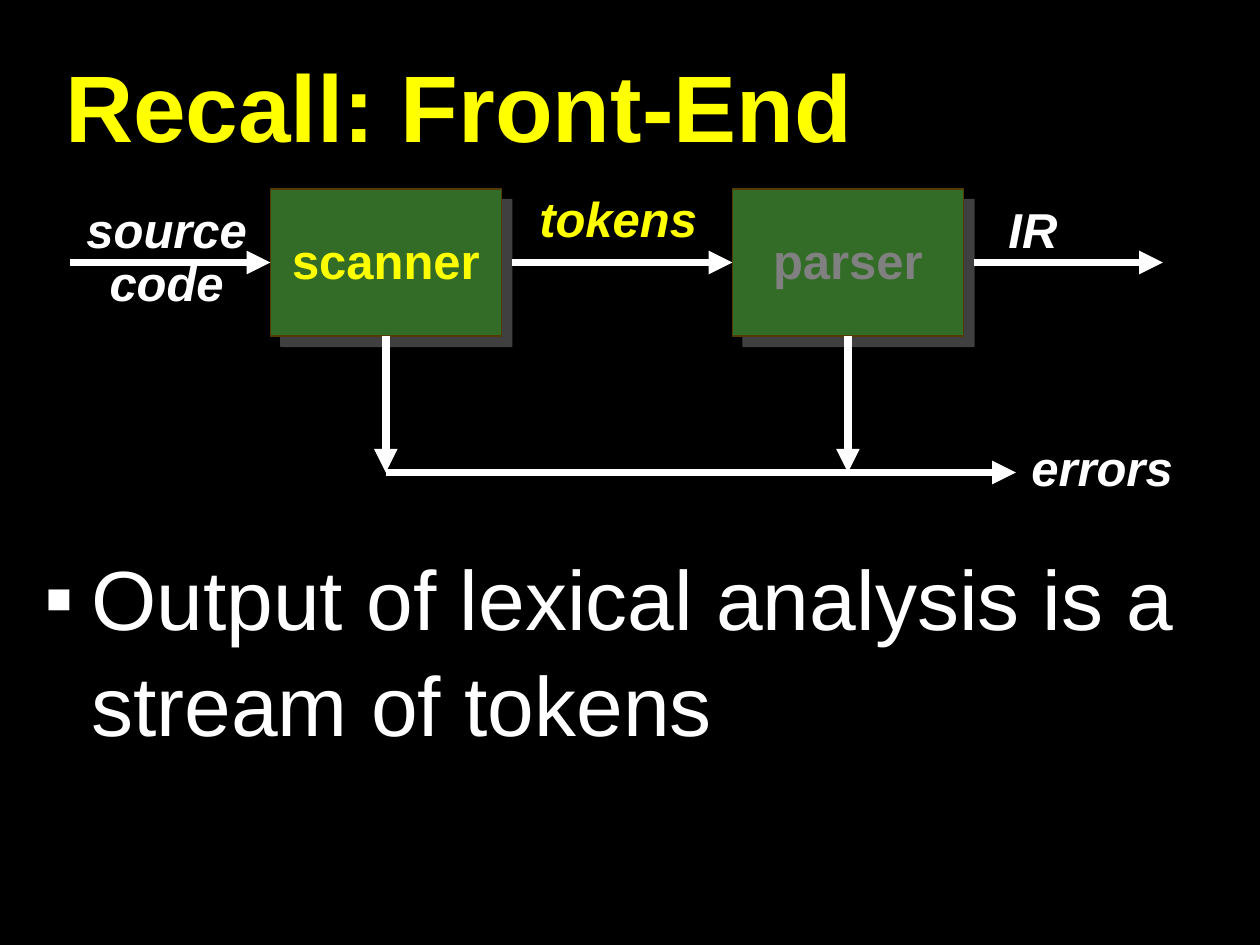
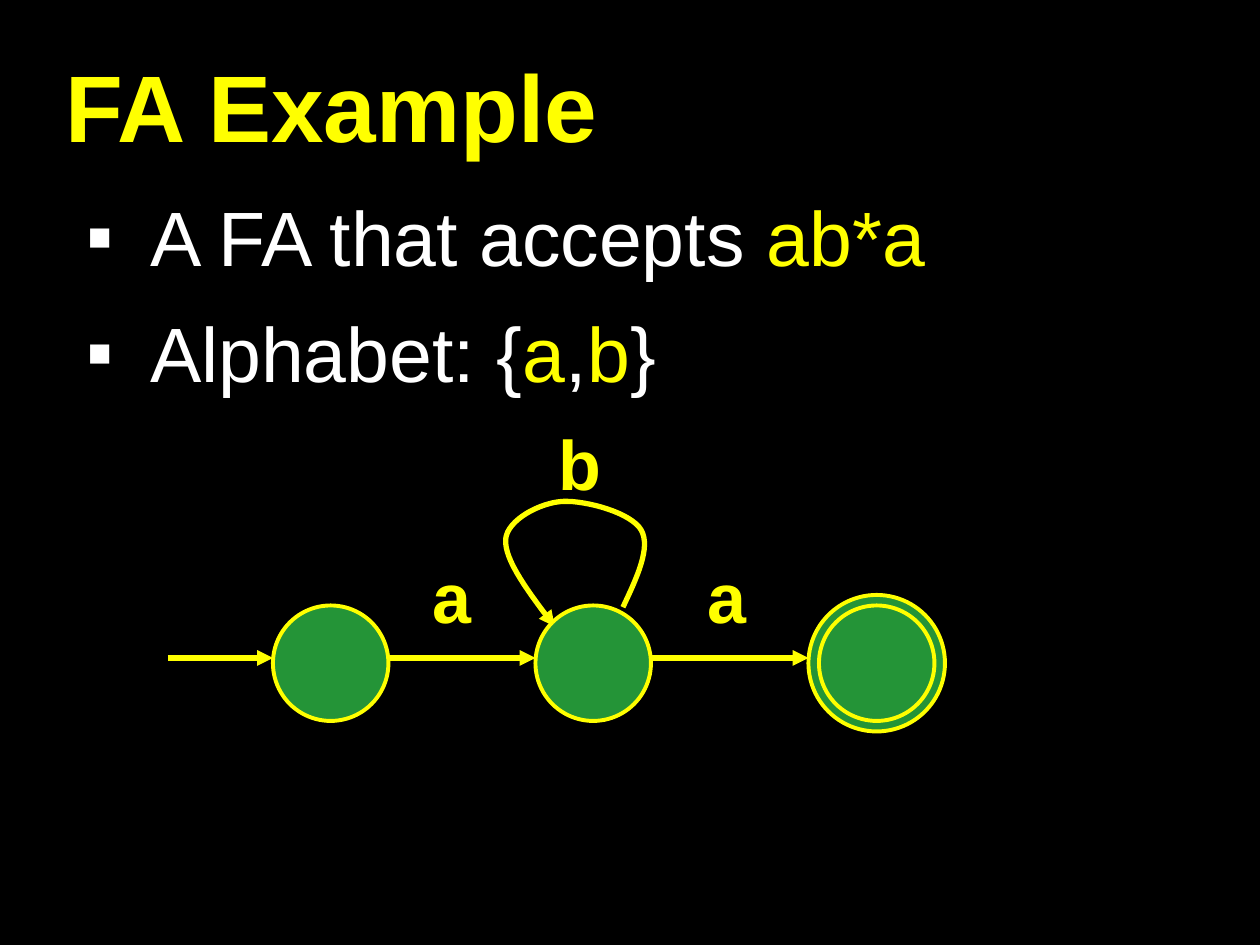
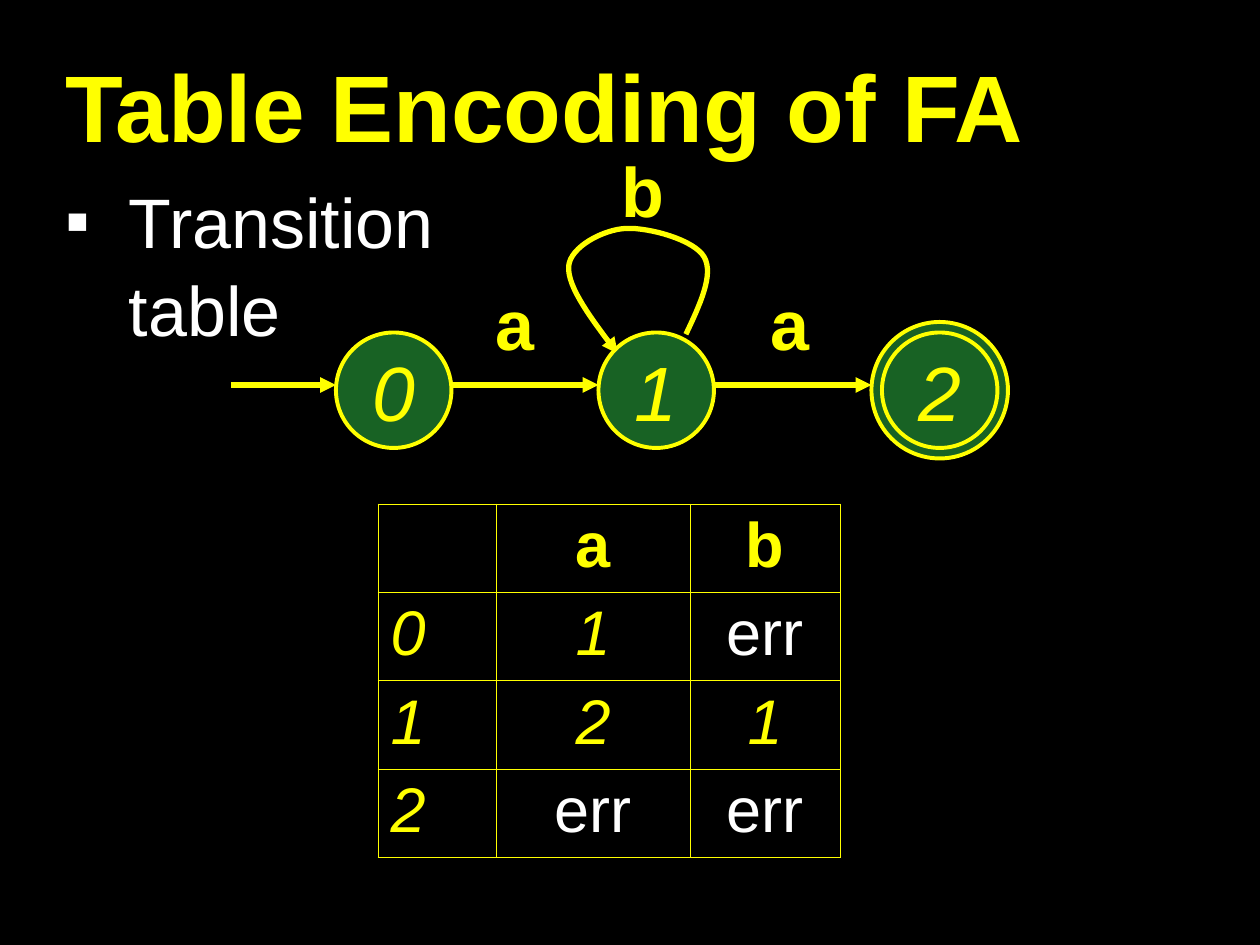
from dataclasses import dataclass

from lxml import etree
from pptx import Presentation
from pptx.dml.color import RGBColor
from pptx.enum.shapes import MSO_CONNECTOR, MSO_SHAPE
from pptx.enum.text import MSO_AUTO_SIZE, PP_ALIGN
from pptx.oxml.ns import qn
from pptx.util import Pt

STRAIGHT = MSO_CONNECTOR.STRAIGHT
RECTANGLE, OVAL = MSO_SHAPE.RECTANGLE, MSO_SHAPE.OVAL
LEFT, CENTER = PP_ALIGN.LEFT, PP_ALIGN.CENTER
NO_AUTOFIT = MSO_AUTO_SIZE.NONE
TOP_SIDE, LEFT_SIDE, BOTTOM_SIDE = 0, 1, 2


@dataclass(frozen=True)
class Theme:
    font: str = "Arial"
    background: str = "000000"
    text: str = "FFFFFF"
    accent: str = "FFFF00"
    muted: str = "808080"
    title_shadow: str = "DDDDDD"
    box_fill: str = "336C26"
    box_line: str = "503C04"
    plain_state: str = "249437"
    numbered_state: str = "186224"
    title_size: float = 54
    phase_size: float = 28
    symbol_size: float = 40
    state_size: float = 44
    table_size: float = 36
    flow_width: float = 4.5
    edge_width: float = 3
    state_width: float = 2.25
    border_width: float = 0.45


theme = Theme()


def write_text(frame, text, size, color=theme.text, bold=False, italic=False,
               align=LEFT, spacing=None, space_before=0, bullet_indent=None):
    """Split text into paragraphs at newlines and lines at \\v; |...| marks accent colour."""
    for number, content in enumerate(text.split("\n")):
        paragraph = frame.add_paragraph() if number else frame.paragraphs[0]
        if bullet_indent:
            properties = paragraph._p.get_or_add_pPr()
            properties.set("marL", str(Pt(bullet_indent)))
            properties.set("indent", str(Pt(-bullet_indent)))
            bullet_color = etree.SubElement(properties, qn("a:buClr"))
            etree.SubElement(bullet_color, qn("a:srgbClr"), val=color)
            etree.SubElement(properties, qn("a:buFont"), typeface=theme.font)
            etree.SubElement(properties, qn("a:buChar"), char="▪")
        paragraph.alignment = align
        paragraph.space_before = Pt(space_before if number else 0)
        if spacing:
            paragraph.line_spacing = spacing
        for part_number, part in enumerate(content.split("|")):
            for line_number, line in enumerate(part.split("\v")):
                if line_number:
                    paragraph.add_line_break()
                if not line:
                    continue
                run = paragraph.add_run()
                run.text = line
                font = run.font
                font.name, font.size = theme.font, Pt(size)
                font.bold, font.italic = bold, italic
                font.color.rgb = RGBColor.from_string(theme.accent if part_number % 2 else color)


def style_arrow(line_shape, color, width):
    line_shape.line.color.rgb = RGBColor.from_string(color)
    line_shape.line.width = Pt(width)
    properties = line_shape.element.spPr
    etree.SubElement(properties.find(qn("a:ln")), qn("a:tailEnd"), type="triangle")
    etree.SubElement(properties, qn("a:effectLst"))


presentation = Presentation()
presentation.slide_width, presentation.slide_height = Pt(720), Pt(540)
background = presentation.slide_master.background.fill
background.solid()
background.fore_color.rgb = RGBColor.from_string(theme.background)
layout = presentation.slide_layouts[1]
layout_title = layout.placeholders[0]
layout_title.left, layout_title.top = Pt(30), Pt(30)
layout_title.width, layout_title.height = Pt(696), Pt(60)

# Titles and lists: title, list, list place, list size, indent, space between items
outline = [
    ("Recall: Front-End", "Output of lexical analysis is a stream of tokens",
     (18, 306, 702, 204), 48, 27, 12),
    ("FA Example", "A FA that accepts |ab*a|\nAlphabet: {|a|,|b|}",
     (42, 102, 702, 138), 44, 36.5, 11),
    ("Table Encoding of FA", "Transition\vtable",
     (30, 96, 318, 402), 40, 36.5, 10),
]
slides = []
for title, items, place, size, indent, gap in outline:
    slide = presentation.slides.add_slide(layout)
    slides.append(slide)
    title_frame = slide.shapes.title.text_frame
    title_frame.auto_size = NO_AUTOFIT
    write_text(title_frame, title, theme.title_size, theme.accent, bold=True)
    title_fill = title_frame.paragraphs[0].runs[0].font._element.find(qn("a:solidFill"))
    effects = etree.Element(qn("a:effectLst"))
    title_fill.addnext(effects)
    shadow = etree.SubElement(effects, qn("a:outerShdw"), dist=str(Pt(2)), dir="2700000")
    etree.SubElement(shadow, qn("a:srgbClr"), val=theme.title_shadow)

    body = slide.placeholders[1]
    body.left, body.top, body.width, body.height = map(Pt, place)
    body.text_frame.auto_size = NO_AUTOFIT
    write_text(body.text_frame, items, size, spacing=1.05, space_before=gap, bullet_indent=indent)

# Front-end: two phases, the flow between them and the error line
front_end, automaton, encoding = slides
flow_y, error_y = 150, 270
phases = []
for name, left, color in [("scanner", 154.5, theme.accent), ("parser", 418.5, theme.muted)]:
    box = front_end.shapes.add_shape(RECTANGLE, Pt(left), Pt(108), Pt(132), Pt(84))
    box.fill.solid()
    box.fill.fore_color.rgb = RGBColor.from_string(theme.box_fill)
    box.line.color.rgb = RGBColor.from_string(theme.box_line)
    box.line.width = Pt(0.75)
    box.shadow.inherit = False
    effects = box.element.spPr.find(qn("a:effectLst"))
    shadow = etree.SubElement(effects, qn("a:outerShdw"), dist=str(Pt(8.5)), dir="2700000")
    shadow_color = etree.SubElement(shadow, qn("a:srgbClr"), val=theme.muted)
    etree.SubElement(shadow_color, qn("a:alpha"), val="50000")
    box.text_frame.word_wrap = False
    box.text_frame.margin_bottom = Pt(7)
    write_text(box.text_frame, name, theme.phase_size, color, bold=True, align=CENTER)
    phases.append(box)

scanner, parser = phases
flows = [
    ((40, flow_y), (154.5, flow_y), None, scanner),
    ((292.5, flow_y), (418.5, flow_y), None, parser),
    ((556.5, flow_y), (664.5, flow_y), None, None),
    ((220.5, error_y), (580.5, error_y), None, None),
    ((220.5, 192), (220.5, error_y), scanner, None),
    ((484.5, 192), (484.5, error_y), parser, None),
]
for start, end, source, target in flows:
    arrow = front_end.shapes.add_connector(STRAIGHT, *map(Pt, start + end))
    if source:
        arrow.begin_connect(source, BOTTOM_SIDE)
    if target:
        arrow.end_connect(target, LEFT_SIDE)
    style_arrow(arrow, theme.text, theme.flow_width)

flow_labels = [
    ("source\vcode", (34.5, 114, 121.5, 67.5), theme.text),
    ("tokens", (292.5, 108, 121.5, 37.5), theme.accent),
    ("IR", (520.5, 114, 139.5, 37.5), theme.text),
    ("errors", (569, 250.5, 121.5, 37.5), theme.text),
]
for text, place, color in flow_labels:
    label = front_end.shapes.add_textbox(*map(Pt, place))
    label.text_frame.word_wrap = True
    write_text(label.text_frame, text, theme.phase_size, color, bold=True, italic=True,
               align=CENTER, spacing=0.9)

# The same automaton on two slides, shifted and numbered on the second
loop_start = (356, 347)
loop_curves = [
    ((364, 330), (372, 313), (366.5, 303)),
    ((361, 293), (335, 286), (322, 286.5)),
    ((309, 287), (290, 297), (289, 308)),
    ((288, 320), (302.5, 339), (317, 358)),
]
curve_steps = 16
states = [(156, 346, 66, "0"), (306, 346, 66, "1"), (462, 340, 78, ""), (468, 346, 66, "2")]
edges = [(96, 156), (222, 306), (372, 462)]
symbols = [("a", 240, 322), ("b", 312, 246), ("a", 397.5, 322)]

for slide, shift_x, shift_y, state_fill, numbered in [
    (automaton, 0, 0, theme.plain_state, False),
    (encoding, 36, -156, theme.numbered_state, True),
]:
    points = []
    curve_start = loop_start
    for first, second, curve_end in loop_curves:
        for step in range(1, curve_steps + 1):
            t = step / curve_steps
            x, y = ((1 - t) ** 3 * p0 + 3 * t * (1 - t) ** 2 * p1 + 3 * t ** 2 * (1 - t) * p2 + t ** 3 * p3
                    for p0, p1, p2, p3 in zip(curve_start, first, second, curve_end))
            points.append((Pt(x + shift_x), Pt(y + shift_y)))
        curve_start = curve_end
    builder = slide.shapes.build_freeform(Pt(loop_start[0] + shift_x), Pt(loop_start[1] + shift_y))
    builder.add_line_segments(points, close=False)
    loop = builder.convert_to_shape()
    loop.fill.background()
    style_arrow(loop, theme.accent, theme.edge_width)

    for left, top, diameter, number in states:
        state = slide.shapes.add_shape(OVAL, Pt(left + shift_x), Pt(top + shift_y),
                                       Pt(diameter), Pt(diameter))
        state.shadow.inherit = False
        state.fill.solid()
        state.fill.fore_color.rgb = RGBColor.from_string(state_fill)
        state.line.color.rgb = RGBColor.from_string(theme.accent)
        state.line.width = Pt(theme.state_width)
        if numbered and number:
            frame = state.text_frame
            frame.word_wrap = False
            frame.margin_left = frame.margin_right = frame.margin_top = frame.margin_bottom = 0
            write_text(frame, number, theme.state_size, theme.accent, italic=True, align=CENTER)

    for start_x, end_x in edges:
        edge_y = Pt(376 + shift_y)
        edge = slide.shapes.add_connector(STRAIGHT, Pt(start_x + shift_x), edge_y,
                                          Pt(end_x + shift_x), edge_y)
        style_arrow(edge, theme.accent, theme.edge_width)

    for symbol, left, top in symbols:
        label = slide.shapes.add_textbox(Pt(left + shift_x), Pt(top + shift_y), Pt(52.5), Pt(46))
        label.text_frame.word_wrap = True
        write_text(label.text_frame, symbol, theme.symbol_size, theme.accent, bold=True, spacing=0.8)

# Transition table
transitions = [
    ("", "a", "b"),
    ("0", "1", "err"),
    ("1", "2", "1"),
    ("2", "err", "err"),
]
column_widths = [67.5, 111, 85.5]
row_height = 50.5
table = encoding.shapes.add_table(
    len(transitions), len(column_widths), Pt(216), Pt(288),
    Pt(sum(column_widths)), Pt(row_height * len(transitions))).table
table.first_row = table.horz_banding = False
for column, width in zip(table.columns, column_widths):
    column.width = Pt(width)
for row_number, values in enumerate(transitions):
    table.rows[row_number].height = Pt(row_height)
    for column_number, value in enumerate(values):
        cell = table.cell(row_number, column_number)
        cell_properties = cell._tc.get_or_add_tcPr()
        for side in ("lnL", "lnR", "lnT", "lnB"):
            border = etree.SubElement(cell_properties, qn(f"a:{side}"), w=str(Pt(theme.border_width)))
            border_fill = etree.SubElement(border, qn("a:solidFill"))
            etree.SubElement(border_fill, qn("a:srgbClr"), val=theme.accent)
        cell.fill.background()
        write_text(cell.text_frame, value, theme.table_size,
                   theme.text if value == "err" else theme.accent,
                   bold=row_number == 0, italic=value.isdigit(),
                   align=CENTER if column_number else LEFT)

presentation.save("out.pptx")
